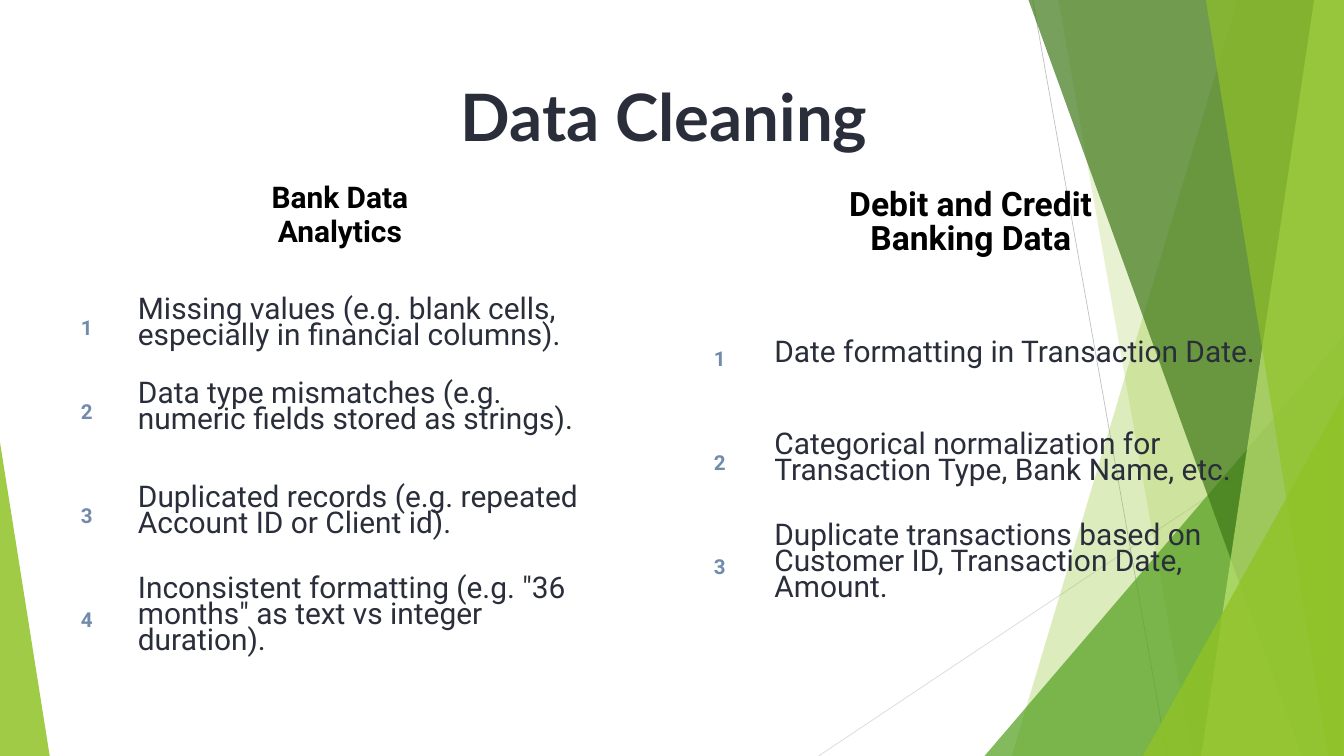
from lxml.etree import SubElement
from pptx import Presentation
from pptx.dml.color import RGBColor
from pptx.enum.shapes import MSO_CONNECTOR as CONN, MSO_SHAPE as SHAPE
from pptx.enum.text import MSO_ANCHOR as ANCHOR, MSO_AUTO_SIZE as AUTO, PP_ALIGN as ALIGN
from pptx.oxml import parse_xml
from pptx.oxml.ns import nsdecls, qn
from pptx.util import Pt

W, H = 1440, 810
INK, NUMBER, BLACK = "2A2E3A", "718BAB", "000000"
LIME = "90C226"

TITLE = ("Data Cleaning ", (169.2, 74.9, 1101.6, 90))
HEADINGS = [
    ("Bank Data Analytics", (238.3, 193, 252, 72.7), 32),
    ("Debit and Credit Banking Data", (851.8, 202.3, 376.6, 72.7), 36),
]
TABLES = [
    ((758.9, 326.9), (64.8, 535.7), (111.6, 111.6, 111.6), [
        "Date formatting in Transaction Date.",
        "Categorical normalization for Transaction Type, Bank Name, etc.",
        "Duplicate transactions based on Customer ID, Transaction Date, Amount.",
    ]),
    ((80.6, 315.4), (61.2, 505.4), (68.4, 111.6, 111.6, 111.6), [
        "Missing values (e.g. blank cells, especially in financial columns).",
        "Data type mismatches (e.g. numeric fields stored as strings).",
        "Duplicated records (e.g. repeated Account ID or Client id).",
        'Inconsistent formatting (e.g. "36 months" as text vs integer duration).',
    ]),
]
LINES = [
    ((1106.6, 0), (1250.6, H), "BFBFBF"),
    ((W, 434.9), (877, H), "D9D9D9"),
]
FACETS = [
    ("panel", (1326.2, 1084.3), LIME, 30),
    ("panel", (1134, 1277.3), LIME, 20),
    ("triangle", (1054.8, 360, 385.2, 450, 1), "54A021", 72),
    ("panel", (1102.3, 1394.6), "3F7819", 70),
    ("panel", (1407.6, 1287.4), "C0E474", 70),
    ("panel", (1291.7, 1422.7), LIME, 65),
    ("triangle", (1224.7, 424.1, 214.6, 385.9, 1), LIME, 80),
    ("triangle", (0, 473.8, 53.3, 336.2, 0), LIME, 85),
]


def color(value):
    return RGBColor.from_string(value)


def write(tf, text, size, fill, line, font="Roboto", bold=False, align=ALIGN.LEFT):
    tf.word_wrap = True
    p = tf.paragraphs[0]
    p.alignment = align
    p.line_spacing = Pt(line)
    r = p.add_run()
    r.text = text
    r.font.size, r.font.name, r.font.bold = Pt(size), font, bold
    r.font.color.rgb = color(fill)


def set_frame(tf):
    tf.margin_left = tf.margin_right = tf.margin_top = tf.margin_bottom = 0
    tf.vertical_anchor = ANCHOR.TOP
    tf.auto_size = AUTO.SHAPE_TO_FIT_TEXT


def add_line(shapes, start, end, stroke):
    c = shapes.add_connector(CONN.STRAIGHT, *map(Pt, start + end))
    c.line.color.rgb = color(stroke)
    c.line.width = Pt(0.75)
    SubElement(c._element.spPr, qn("a:effectLst"))


def add_facet(shapes, kind, geometry, fill, opacity):
    if kind == "panel":
        top_x, bottom_x = geometry
        builder = shapes.build_freeform(top_x, 0, scale=Pt(1))
        builder.add_line_segments([(W, 0), (W, H), (bottom_x, H)], close=True)
        sp = builder.convert_to_shape()
    else:
        *box, apex = geometry
        sp = shapes.add_shape(SHAPE.ISOSCELES_TRIANGLE, *map(Pt, box))
        sp.adjustments[0] = apex
    sp.shadow.inherit = False
    sp.line.fill.background()
    sp.fill.solid()
    sp.fill.fore_color.rgb = color(fill)
    clr = sp._element.spPr.find(qn("a:solidFill"))[0]
    SubElement(clr, qn("a:alpha"), val=str(opacity * 1000))


def clear_cell(cell):
    cell.margin_left = cell.margin_right = cell.margin_top = cell.margin_bottom = Pt(6)
    cell.vertical_anchor = ANCHOR.MIDDLE
    cell.fill.background()
    tc_pr = cell._tc.get_or_add_tcPr()
    for i, side in enumerate("LRTB"):
        tc_pr.insert(i, parse_xml(f'<a:ln{side} {nsdecls("a")} w="0"><a:noFill/></a:ln{side}>'))


def add_list(shapes, origin, widths, heights, items):
    box = (*origin, sum(widths), sum(heights))
    table = shapes.add_table(len(items), 2, *map(Pt, box)).table
    table.first_row = table.horz_banding = False
    for col, width in zip(table.columns, widths):
        col.width = Pt(width)
    for i, (item, height) in enumerate(zip(items, heights)):
        table.rows[i].height = Pt(height)
        number, body = table.cell(i, 0), table.cell(i, 1)
        clear_cell(number)
        clear_cell(body)
        write(number.text_frame, str(i + 1), 22, NUMBER, 30.8, bold=True)
        write(body.text_frame, item, 32, INK, 28)


def main():
    prs = Presentation()
    prs.slide_width, prs.slide_height = Pt(W), Pt(H)
    s = prs.slides.add_slide(prs.slide_layouts[5])
    shapes = s.shapes

    for line in LINES:
        add_line(shapes, *line)
    for facet in FACETS:
        add_facet(shapes, *facet)
    for table in TABLES:
        add_list(shapes, *table)

    text, box = TITLE
    title = shapes.title
    title.left, title.top, title.width, title.height = map(Pt, box)
    set_frame(title.text_frame)
    write(title.text_frame, text, 70, INK, 91, font="Lato", bold=True, align=ALIGN.CENTER)
    shapes._spTree.append(title._element)

    for text, box, size in HEADINGS:
        tf = shapes.add_textbox(*map(Pt, box)).text_frame
        set_frame(tf)
        write(tf, text, size, BLACK, 36.4, bold=True, align=ALIGN.CENTER)

    prs.save("out.pptx")


if __name__ == "__main__":
    main()
